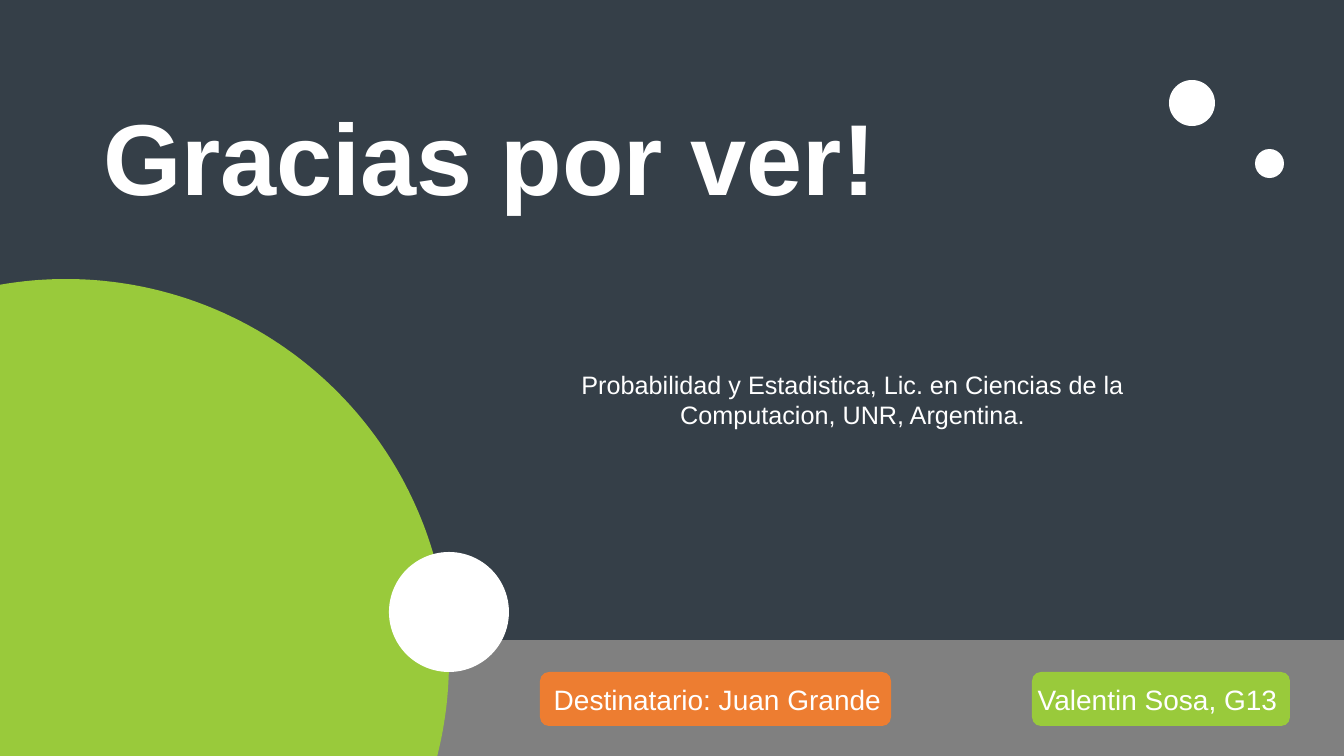
import math

import pptx
import pptx.dml.color
import pptx.enum.shapes
import pptx.enum.text
import pptx.util

# Content: boxes are left, top, width, height in px
WIDTH, HEIGHT = 1344, 756
EMU_PER_PX = 914400 / 100.8
SLATE, GREY, GREEN, ORANGE, WHITE = "353F48", "808080", "99CA3B", "ED7D31", "FFFFFF"

THANKS = "Gracias por ver!"
THANKS_BOX = (93, 81, 959, 132)
COURSE = "Probabilidad y Estadistica, Lic. en Ciencias de la Computacion, UNR, Argentina."
COURSE_BOX = (543, 364, 619, 71)
FOOTER_BOX = (0, 640, WIDTH, 116)
BIG_CIRCLE = {"x": 66, "y": 662, "radius": 383}
DOTS = [(389, 552, 120, 120), (1169, 80, 46, 46), (1255, 149, 29, 29)]
BADGES = [
    ("Valentin Sosa, G13", GREEN, (1032, 672, 258, 54), (1011, 677, 293, 44)),
    ("Destinatario: Juan Grande", ORANGE, (540, 672, 351, 54), (523, 677, 389, 44)),
]

SHAPES = pptx.enum.shapes.MSO_SHAPE
ALIGN = pptx.enum.text.PP_ALIGN


def px(length):
    return pptx.util.Emu(round(length * EMU_PER_PX))


def colour(code):
    return pptx.dml.color.RGBColor.from_string(code)


def paint(shape, fill):
    shape.shadow.inherit = False
    shape.fill.solid()
    shape.fill.fore_color.rgb = colour(fill)
    shape.line.fill.background()


def add_filled(parent, kind, box, fill):
    paint(parent.add_shape(kind, *map(px, box)), fill)


def write(shape, text, size, align=ALIGN.CENTER, bold=False, top=5, bottom=5):
    frame = shape.text_frame
    frame.word_wrap = True
    frame.auto_size = pptx.enum.text.MSO_AUTO_SIZE.SHAPE_TO_FIT_TEXT
    frame.vertical_anchor = pptx.enum.text.MSO_ANCHOR.TOP
    frame.margin_top, frame.margin_bottom = px(top), px(bottom)
    paragraph = frame.paragraphs[0]
    paragraph.alignment = align
    run = paragraph.add_run()
    run.text = text
    run.font.name = "Arial"
    run.font.size = pptx.util.Pt(size)
    run.font.bold = bold
    run.font.color.rgb = colour(WHITE)


def clipped_circle(x, y, radius):
    """Outline of the circle within the left and bottom slide edges."""
    start = math.atan2(-math.sqrt(radius**2 - x**2), -x)
    end = math.asin((HEIGHT - y) / radius)
    steps = 120
    angles = [start + (end - start) * i / steps for i in range(steps + 1)]
    arc = [(x + radius * math.cos(a), y + radius * math.sin(a)) for a in angles]
    return arc + [(0, HEIGHT)]


def main():
    deck = pptx.Presentation()
    deck.slide_width, deck.slide_height = px(WIDTH), px(HEIGHT)
    slide = deck.slides.add_slide(deck.slide_layouts[5])
    slide.background.fill.solid()
    slide.background.fill.fore_color.rgb = colour(SLATE)
    shapes = slide.shapes

    # Title and footer band
    thanks = shapes.title
    thanks.left, thanks.top, thanks.width, thanks.height = map(px, THANKS_BOX)
    write(thanks, THANKS, 72, align=ALIGN.LEFT, bold=True, top=14, bottom=0)
    add_filled(shapes, SHAPES.RECTANGLE, FOOTER_BOX, GREY)

    # Large circle cut by the slide edges, and the white dots
    outline = [(px(x), px(y)) for x, y in clipped_circle(**BIG_CIRCLE)]
    builder = shapes.build_freeform(*outline[0], scale=1.0)
    builder.add_line_segments(outline[1:], close=True)
    paint(builder.convert_to_shape(), GREEN)
    for dot in DOTS:
        add_filled(shapes, SHAPES.OVAL, dot, WHITE)

    # Course line
    write(shapes.add_textbox(*map(px, COURSE_BOX)), COURSE, 18)

    # Name badges
    for name, fill, badge_box, name_box in BADGES:
        badge = shapes.add_group_shape().shapes
        add_filled(badge, SHAPES.ROUNDED_RECTANGLE, badge_box, fill)
        write(badge.add_textbox(*map(px, name_box)), name, 20)

    deck.save("out.pptx")


if __name__ == "__main__":
    main()
